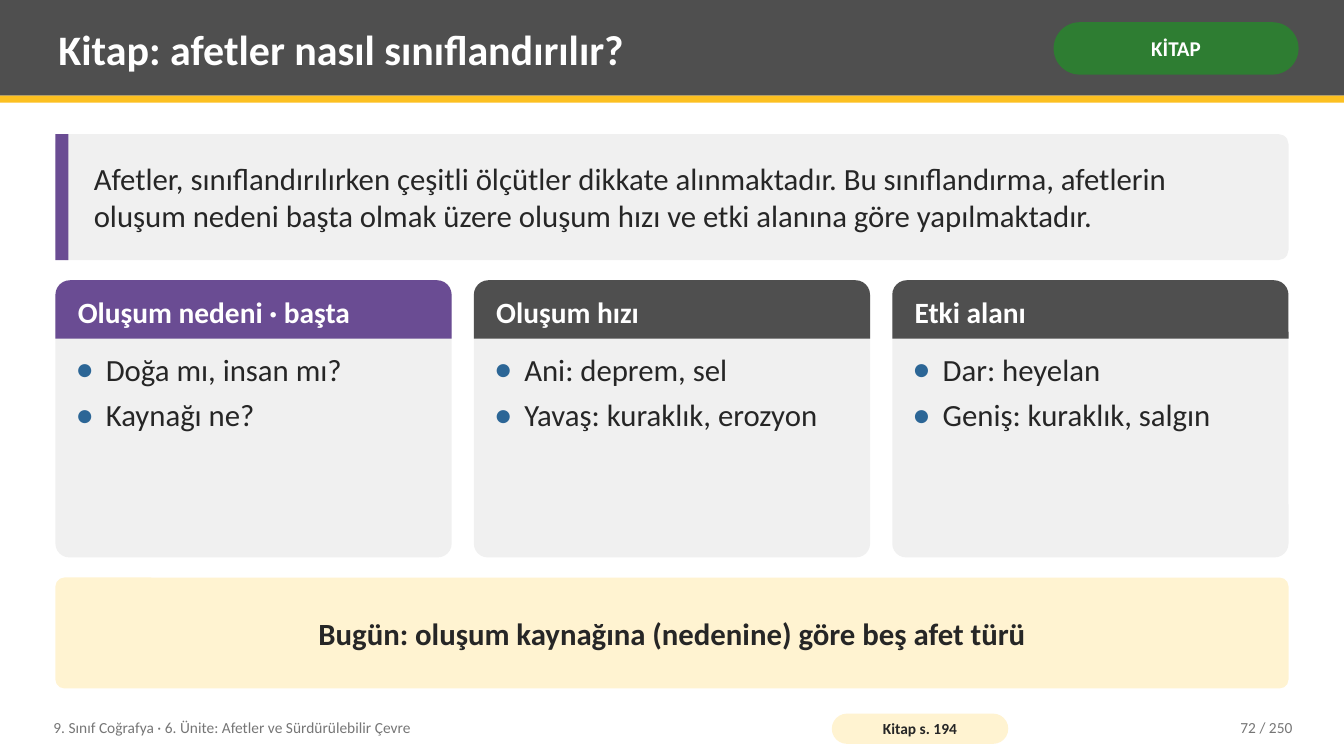
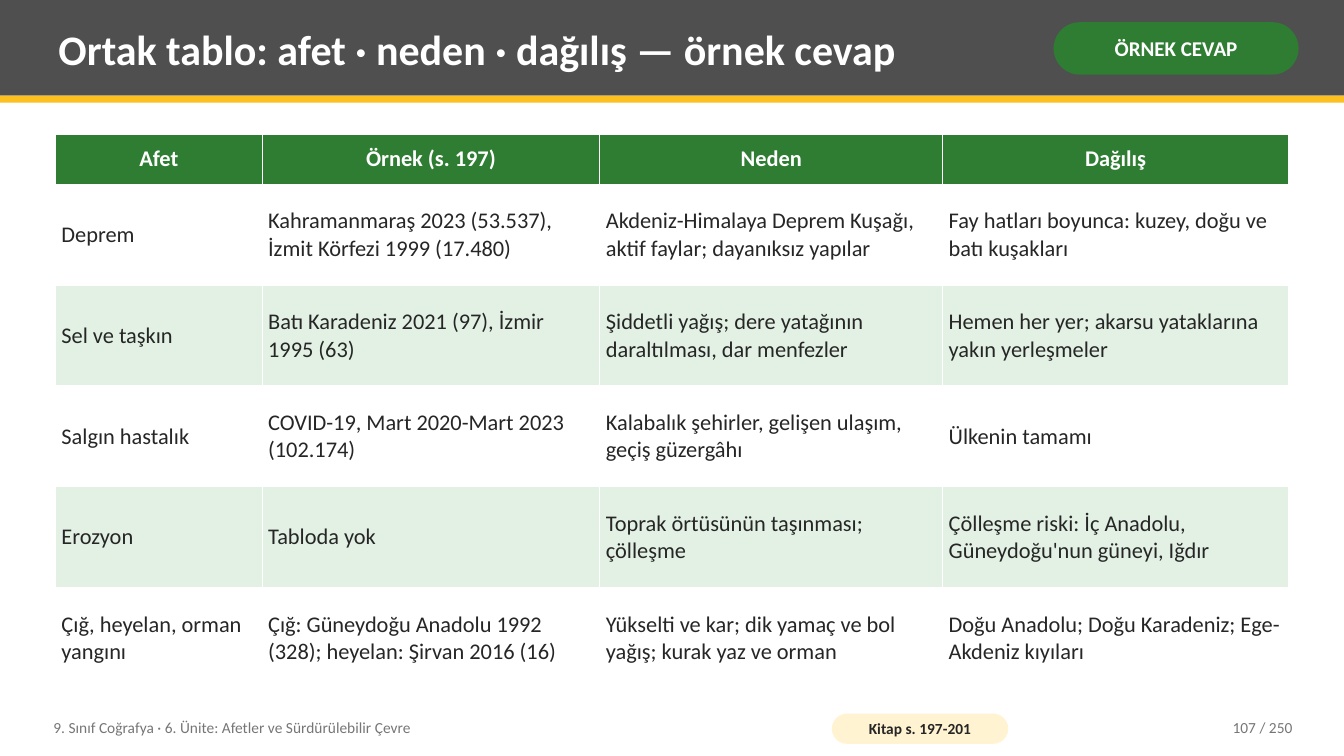
from lxml import etree
from pptx import Presentation
from pptx.dml.color import RGBColor
from pptx.enum.shapes import MSO_SHAPE
from pptx.enum.text import MSO_ANCHOR, MSO_AUTO_SIZE, PP_ALIGN
from pptx.oxml.ns import qn
from pptx.util import Inches, Pt

RECT = MSO_SHAPE.RECTANGLE
ROUNDED = MSO_SHAPE.ROUNDED_RECTANGLE
ROUND_TOP = MSO_SHAPE.ROUND_2_SAME_RECTANGLE
TOP, MIDDLE = MSO_ANCHOR.TOP, MSO_ANCHOR.MIDDLE
LEFT, CENTER, RIGHT = PP_ALIGN.LEFT, PP_ALIGN.CENTER, PP_ALIGN.RIGHT
NO_AUTOFIT = MSO_AUTO_SIZE.NONE

FONT = "Calibri"
WHITE = RGBColor(0xFF, 0xFF, 0xFF)
CHARCOAL = RGBColor(0x4F, 0x4F, 0x4F)
GOLD = RGBColor(0xFC, 0xC0, 0x21)
GREEN = RGBColor(0x2E, 0x7D, 0x32)
PALE_GREEN = RGBColor(0xE3, 0xF1, 0xE4)
PURPLE = RGBColor(0x6A, 0x4C, 0x93)
PANEL = RGBColor(0xF0, 0xF0, 0xF0)
CREAM = RGBColor(0xFF, 0xF3, 0xD1)
BLUE = RGBColor(0x2C, 0x66, 0x96)
INK = RGBColor(0x26, 0x26, 0x26)
MUTED = RGBColor(0x76, 0x76, 0x76)

SLIDE_W, SLIDE_H = 13.33, 7.5
MARGIN, CONTENT_TOP, CONTENT_W = 0.55, 1.33, 12.23
PADDING = (0.08, 0.04)
TITLE_ONLY, COMPARISON = 5, 4  # the comparison layout has four body placeholders

COURSE = "9. Sınıf Coğrafya · 6. Ünite: Afetler ve Sürdürülebilir Çevre"
PAGE_COUNT = 250

CLASSES = {
    "title": "Kitap: afetler nasıl sınıflandırılır?",
    "badge": "KİTAP",
    "source": "Kitap s. 194",
    "page": 72,
    "intro": "Afetler, sınıflandırılırken çeşitli ölçütler dikkate alınmaktadır. "
             "Bu sınıflandırma, afetlerin oluşum nedeni başta olmak üzere "
             "oluşum hızı ve etki alanına göre yapılmaktadır.",
    "cards": [
        ("Oluşum nedeni · başta", PURPLE, ["Doğa mı, insan mı?", "Kaynağı ne?"]),
        ("Oluşum hızı", CHARCOAL, ["Ani: deprem, sel", "Yavaş: kuraklık, erozyon"]),
        ("Etki alanı", CHARCOAL, ["Dar: heyelan", "Geniş: kuraklık, salgın"]),
    ],
    "today": "Bugün: oluşum kaynağına (nedenine) göre beş afet türü",
}

ANSWERS = {
    "title": "Ortak tablo: afet · neden · dağılış — örnek cevap",
    "badge": "ÖRNEK CEVAP",
    "source": "Kitap s. 197-201",
    "page": 107,
    "column_widths": [2.05, 3.35, 3.4, 3.43],
    "rows": [
        ("Afet", "Örnek (s. 197)", "Neden", "Dağılış"),
        ("Deprem",
         "Kahramanmaraş 2023 (53.537), İzmit Körfezi 1999 (17.480)",
         "Akdeniz-Himalaya Deprem Kuşağı, aktif faylar; dayanıksız yapılar",
         "Fay hatları boyunca: kuzey, doğu ve batı kuşakları"),
        ("Sel ve taşkın",
         "Batı Karadeniz 2021 (97), İzmir 1995 (63)",
         "Şiddetli yağış; dere yatağının daraltılması, dar menfezler",
         "Hemen her yer; akarsu yataklarına yakın yerleşmeler"),
        ("Salgın hastalık",
         "COVID-19, Mart 2020-Mart 2023 (102.174)",
         "Kalabalık şehirler, gelişen ulaşım, geçiş güzergâhı",
         "Ülkenin tamamı"),
        ("Erozyon",
         "Tabloda yok",
         "Toprak örtüsünün taşınması; çölleşme",
         "Çölleşme riski: İç Anadolu, Güneydoğu'nun güneyi, Iğdır"),
        ("Çığ, heyelan, orman yangını",
         "Çığ: Güneydoğu Anadolu 1992 (328); heyelan: Şirvan 2016 (16)",
         "Yükselti ve kar; dik yamaç ve bol yağış; kurak yaz ve orman",
         "Doğu Anadolu; Doğu Karadeniz; Ege-Akdeniz kıyıları"),
    ],
}


def format_paragraph(paragraph, size, color, bold, align):
    paragraph.alignment = align
    paragraph.space_before = Pt(0)
    for run in paragraph.runs:
        run.font.name = FONT
        run.font.size = Pt(size)
        run.font.bold = bold
        run.font.color.rgb = color


def write(frame, text, size, color, bold=False, align=LEFT, anchor=MIDDLE,
          padding=PADDING):
    """Fill a text frame, one paragraph per line of text."""
    frame.text = text
    frame.word_wrap = True
    frame.auto_size = NO_AUTOFIT
    frame.vertical_anchor = anchor
    frame.margin_left = frame.margin_right = Inches(padding[0])
    frame.margin_top = frame.margin_bottom = Inches(padding[1])
    for paragraph in frame.paragraphs:
        format_paragraph(paragraph, size, color, bold, align)


def add_block(slide, kind, box, fill, corner=None):
    block = slide.shapes.add_shape(kind, *map(Inches, box))
    block.shadow.inherit = False
    block.fill.solid()
    block.fill.fore_color.rgb = fill
    block.line.fill.background()
    if corner is not None:
        block.adjustments[0] = corner
    return block


def add_label(slide, box, text, **style):
    label = slide.shapes.add_textbox(*map(Inches, box))
    write(label.text_frame, text, 11, MUTED, **style)
    return label


def place(slide, placeholder, box):
    """Position a placeholder and bring it in front of what is drawn so far."""
    placeholder.left, placeholder.top, placeholder.width, placeholder.height = map(Inches, box)
    slide.shapes.element.append(placeholder.element)
    return placeholder.text_frame


def set_bullet(paragraph, char=None):
    """Give the paragraph a blue bullet, or none when char is None."""
    properties = paragraph._p.get_or_add_pPr()
    indent = Inches(0.3) if char else 0
    properties.set("marL", str(indent))
    properties.set("indent", str(-indent))
    if char is None:
        etree.SubElement(properties, qn("a:buNone"))
        return
    color = etree.SubElement(properties, qn("a:buClr"))
    etree.SubElement(color, qn("a:srgbClr"), val=str(BLUE))
    etree.SubElement(properties, qn("a:buSzPct"), val="120000")
    etree.SubElement(properties, qn("a:buFont"), typeface=FONT)
    etree.SubElement(properties, qn("a:buChar"), char=char)


def set_borders(cell, color, width):
    properties = cell._tc.get_or_add_tcPr()
    for side in ("a:lnL", "a:lnR", "a:lnT", "a:lnB"):
        border = etree.SubElement(properties, qn(side), w=str(Pt(width)))
        fill = etree.SubElement(border, qn("a:solidFill"))
        etree.SubElement(fill, qn("a:srgbClr"), val=str(color))


def move_frame_to_master(prs, slide):
    """Draw the bands and the course footer, then hand them to the master."""
    frame = [
        add_block(slide, RECT, (0, 0, SLIDE_W, 0.95), CHARCOAL),
        add_block(slide, RECT, (0, 0.95, SLIDE_W, 0.07), GOLD),
        add_label(slide, (0.45, 7.04, 7.6, 0.36), COURSE),
    ]
    for part in frame:
        prs.slide_master.shapes.element.append(part.element)


def add_heading_and_footer(slide, content):
    title = place(slide, slide.shapes.title, (0.5, 0.07, 9.75, 0.82))
    write(title, content["title"], 30, WHITE, bold=True)
    badge = add_block(slide, ROUNDED, (10.45, 0.22, 2.43, 0.52), GREEN, 0.5)
    write(badge.text_frame, content["badge"], 15, WHITE, True, CENTER, padding=(0.05, 0.02))
    source = add_block(slide, ROUNDED, (8.25, 7.08, 1.75, 0.3), CREAM, 0.5)
    write(source.text_frame, content["source"], 11, INK, True, CENTER, padding=(0.04, 0))
    add_label(slide, (11.3, 7.04, 1.6, 0.36), f"{content['page']} / {PAGE_COUNT}", align=RIGHT)


def fill_classes_slide(slide, content):
    intro_body, *list_bodies = [p for p in slide.placeholders if p.placeholder_format.idx in (1, 2, 3, 4)]

    intro_h = 1.25
    add_block(slide, ROUNDED, (MARGIN, CONTENT_TOP, CONTENT_W, intro_h), PANEL, 0.08)
    add_block(slide, RECT, (MARGIN, CONTENT_TOP, 0.13, intro_h), PURPLE)
    intro = place(slide, intro_body, (0.85, CONTENT_TOP, 11.78, intro_h))
    write(intro, content["intro"], 22, INK)
    set_bullet(intro.paragraphs[0])

    cards = content["cards"]
    gap, card_top, card_h, header_h = 0.22, 2.78, 2.75, 0.58
    card_w = (CONTENT_W - gap * (len(cards) - 1)) / len(cards)
    for i, ((heading, color, items), body) in enumerate(zip(cards, list_bodies)):
        left = MARGIN + i * (card_w + gap)
        add_block(slide, ROUNDED, (left, card_top, card_w, card_h), PANEL, 0.05)
        header = add_block(slide, ROUND_TOP, (left, card_top, card_w, header_h), color, 0.25)
        write(header.text_frame, heading, 21, WHITE, bold=True, padding=(0.14, 0.04))
        header.text_frame.margin_left = Inches(0.18)
        points = place(slide, body, (left + 0.12, card_top + header_h + 0.08, card_w - 0.24, 2.01))
        write(points, "\n".join(items), 22, INK, anchor=TOP)
        for paragraph in points.paragraphs:
            set_bullet(paragraph, "•")
            paragraph.space_after = Pt(6)

    today = add_block(slide, ROUNDED, (MARGIN, 5.73, CONTENT_W, 1.1), CREAM, 0.08)
    write(today.text_frame, content["today"], 22, INK, True, CENTER, padding=(0.14, 0.08))


def fill_answers_slide(slide, content):
    rows, widths = content["rows"], content["column_widths"]
    box = map(Inches, (MARGIN, CONTENT_TOP, CONTENT_W, 5.5))
    table = slide.shapes.add_table(len(rows), len(widths), *box).table
    for column, width in zip(table.columns, widths):
        column.width = Inches(width)
    for r, texts in enumerate(rows):
        is_header = r == 0
        table.rows[r].height = Inches(0.5 if is_header else 1)
        fill = GREEN if is_header else (PALE_GREEN if r % 2 == 0 else WHITE)
        for c, text in enumerate(texts):
            cell = table.cell(r, c)
            set_borders(cell, WHITE, 0.96)
            cell.fill.solid()
            cell.fill.fore_color.rgb = fill
            cell.text_frame.text = text
            cell.vertical_anchor = MIDDLE
            cell.margin_left = cell.margin_right = Inches(0.06)
            cell.margin_top = cell.margin_bottom = Inches(0.05)
            format_paragraph(cell.text_frame.paragraphs[0], 16, WHITE if is_header else INK,
                             is_header, CENTER if is_header else LEFT)


def main():
    prs = Presentation()
    prs.slide_width, prs.slide_height = Inches(SLIDE_W), Inches(SLIDE_H)

    classes_slide = prs.slides.add_slide(prs.slide_layouts[COMPARISON])
    move_frame_to_master(prs, classes_slide)
    add_heading_and_footer(classes_slide, CLASSES)
    fill_classes_slide(classes_slide, CLASSES)

    answers_slide = prs.slides.add_slide(prs.slide_layouts[TITLE_ONLY])
    add_heading_and_footer(answers_slide, ANSWERS)
    fill_answers_slide(answers_slide, ANSWERS)

    prs.save("out.pptx")


if __name__ == "__main__":
    main()
